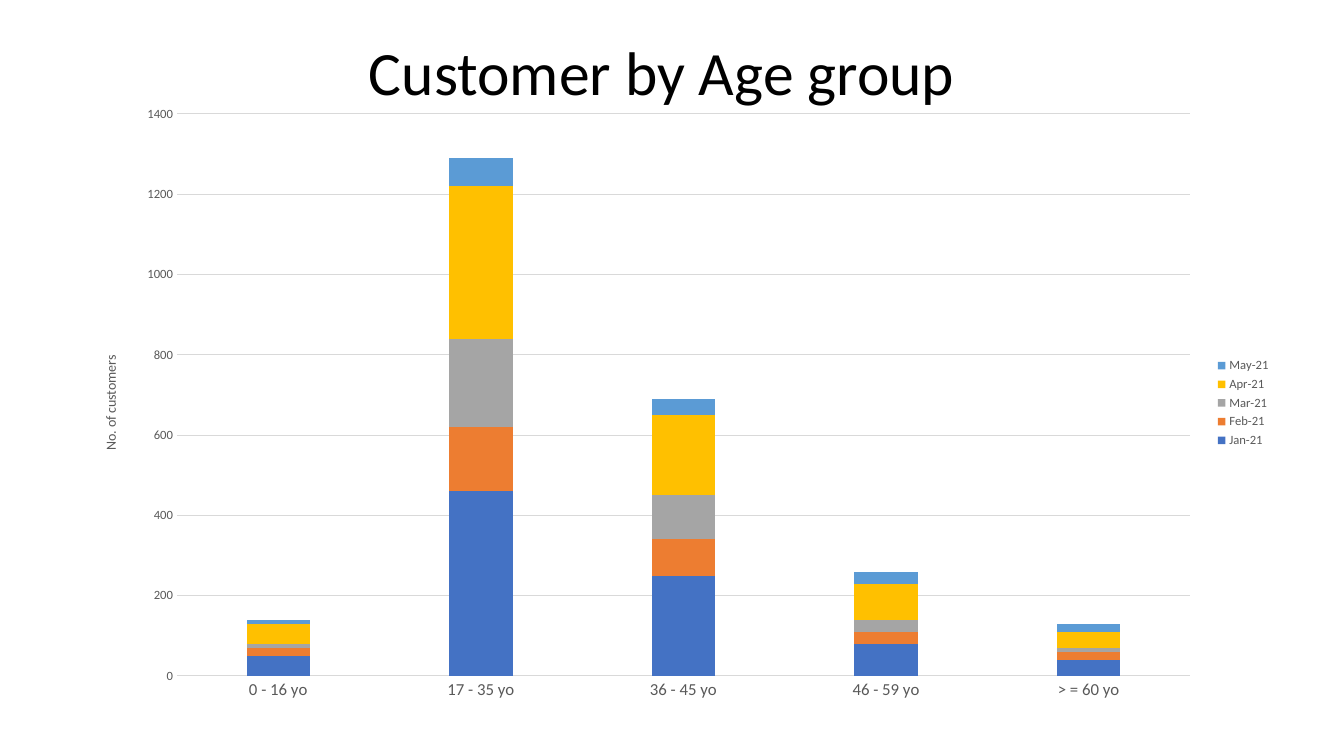
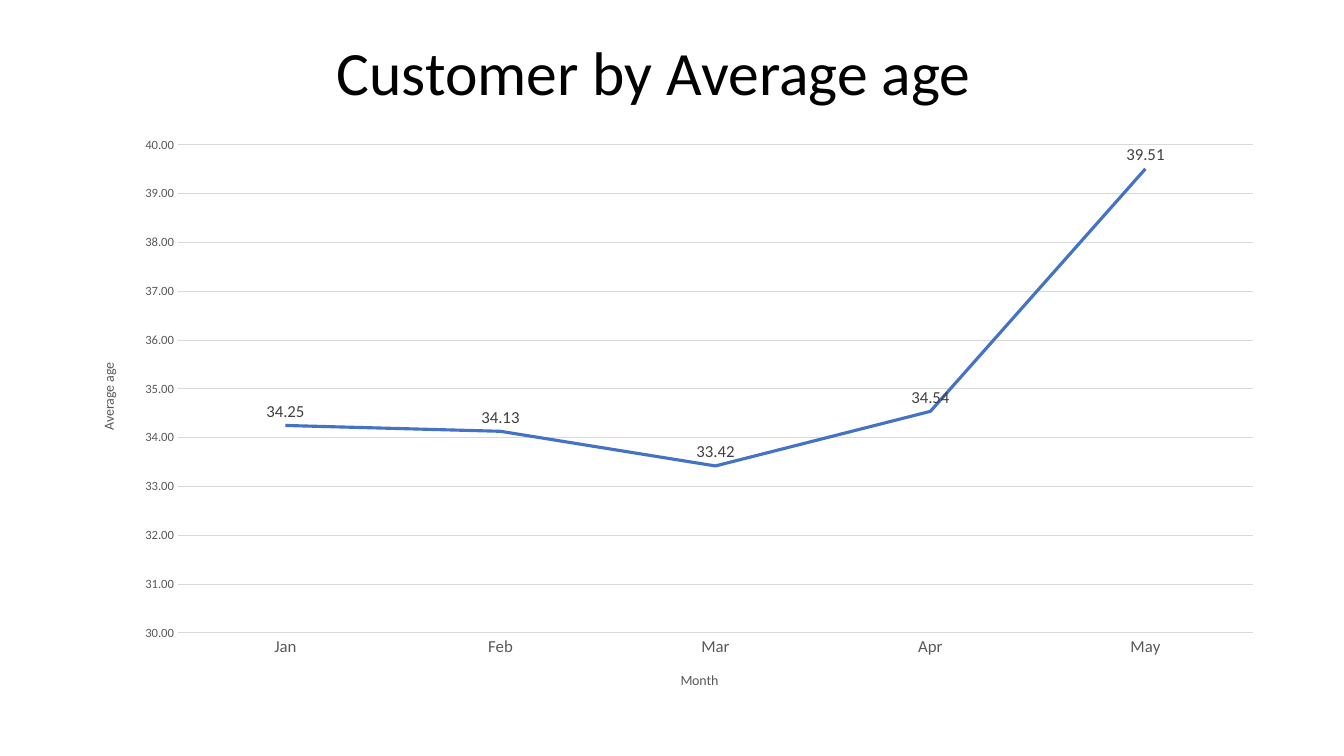
from pptx import Presentation
from pptx.chart.data import CategoryChartData
from pptx.dml.color import RGBColor
from pptx.enum.chart import XL_CHART_TYPE as ChartType
from pptx.enum.chart import XL_LABEL_POSITION as LabelPosition
from pptx.enum.chart import XL_LEGEND_POSITION as LegendPosition
from pptx.enum.chart import XL_TICK_MARK as TickMark
from pptx.enum.text import MSO_ANCHOR as Anchor
from pptx.enum.text import PP_ALIGN as Align
from pptx.oxml.ns import qn
from pptx.util import Emu, Pt
from lxml.etree import SubElement

# Shared style
SCALE = 914400 / 100.8
FONT = "Calibri"
BLACK = RGBColor(0x00, 0x00, 0x00)
DARK_GRAY = RGBColor(0x40, 0x40, 0x40)
TEXT_GRAY = RGBColor(0x59, 0x59, 0x59)
GRID_GRAY = RGBColor(0xD9, 0xD9, 0xD9)
BLUE = RGBColor(0x44, 0x72, 0xC4)
ORANGE = RGBColor(0xED, 0x7D, 0x31)
GRAY = RGBColor(0xA5, 0xA5, 0xA5)
GOLD = RGBColor(0xFF, 0xC0, 0x00)
LIGHT_BLUE = RGBColor(0x5B, 0x9B, 0xD5)
SERIES_COLORS = [BLUE, ORANGE, GRAY, GOLD, LIGHT_BLUE]


def px(length):
    return Emu(round(length * SCALE))


def format_font(font, size, color=TEXT_GRAY):
    font.name = FONT
    font.size = Pt(size)
    font.bold = False
    font.color.rgb = color


def write_text(frame, text, size, color=TEXT_GRAY, align=None, spacing=None):
    frame.text = text
    paragraph = frame.paragraphs[0]
    paragraph.alignment = align
    paragraph.line_spacing = spacing
    format_font(paragraph.runs[0].font, size, color)


def place(element, index, frame, box, inner=False):
    """Fix the position of a chart part; both boxes are in slide pixels."""
    layout = element.find(qn("c:layout"))
    if layout is None:
        layout = element.makeelement(qn("c:layout"), {})
        element.insert(index, layout)
    manual = SubElement(layout, qn("c:manualLayout"))
    settings = [("layoutTarget", "inner")] if inner else []
    settings += [("xMode", "edge"), ("yMode", "edge")]
    left, top, width, height = frame
    settings += [("x", (box[0] - left) / width), ("y", (box[1] - top) / height)]
    if inner:
        settings += [("w", box[2] / width), ("h", box[3] / height)]
    for name, value in settings:
        SubElement(manual, qn("c:" + name)).set("val", str(value))


class Deck:
    def __init__(self):
        self.presentation = Presentation()
        self.presentation.slide_width = px(1344)
        self.presentation.slide_height = px(756)
        self.slide = None

    def add_slide(self, title, width):
        layout = self.presentation.slide_layouts[5]
        self.slide = self.presentation.slides.add_slide(layout)
        shape = self.slide.shapes.title
        shape.left, shape.top, shape.width, shape.height = map(px, (93, 26, width, 100))
        shape.text_frame.vertical_anchor = Anchor.MIDDLE
        write_text(shape.text_frame, title, 44, BLACK, Align.CENTER, 0.9)

    def add_chart(self, kind, frame, plot_box, categories, series, value_range):
        data = CategoryChartData()
        data.categories = categories
        for name, values in series.items():
            data.add_series(name, values)
        chart = self.slide.shapes.add_chart(kind, *map(px, frame), data).chart
        format_font(chart.font, 10, BLACK)
        chart.has_title = False
        chart.has_legend = False
        plot_area = chart.element.find(".//" + qn("c:plotArea"))
        place(plot_area, 0, frame, plot_box, inner=True)
        chart.plots[0].vary_by_categories = False

        # Axes
        for axis, size in ((chart.category_axis, 12), (chart.value_axis, 9)):
            axis.major_tick_mark = axis.minor_tick_mark = TickMark.NONE
            format_font(axis.tick_labels.font, size)
        self.format_line(chart.category_axis.format.line)
        value_axis = chart.value_axis
        value_axis.format.line.fill.background()
        value_axis.has_major_gridlines = True
        self.format_line(value_axis.major_gridlines.format.line)
        (value_axis.minimum_scale, value_axis.maximum_scale,
         value_axis.major_unit) = value_range
        return chart

    def format_line(self, line, color=GRID_GRAY, width=0.75):
        line.color.rgb = color
        line.width = Pt(width)

    def add_axis_title(self, axis, text, frame, corner):
        title = axis.axis_title
        write_text(title.text_frame, text, 10)
        place(title.element, 1, frame, corner)

    def add_legend(self, chart):
        chart.has_legend = True
        chart.legend.position = LegendPosition.RIGHT
        chart.legend.include_in_layout = False
        format_font(chart.legend.font, 9)

    def add_labels(self, series, number_format):
        labels = series.data_labels
        labels.show_value = True
        labels.position = LabelPosition.ABOVE
        labels.number_format = number_format
        labels.number_format_is_linked = False
        format_font(labels.font, 12, DARK_GRAY)


deck = Deck()

# Customers by age group
deck.add_slide("Customer by Age group", 1138)
age_frame = (81, 94, 1200, 618)
age_chart = deck.add_chart(
    ChartType.COLUMN_STACKED, age_frame, (177, 114, 1013, 562),
    ["0 - 16 yo", "17 - 35 yo", "36 - 45 yo", "46 - 59 yo", "> = 60 yo"],
    {
        "Jan-21": (50, 460, 250, 80, 40),
        "Feb-21": (20, 160, 90, 30, 20),
        "Mar-21": (10, 220, 110, 30, 10),
        "Apr-21": (50, 380, 200, 90, 40),
        "May-21": (10, 70, 40, 30, 20),
    },
    (0, 1400, 200))
age_plot = age_chart.plots[0]
age_plot.gap_width = 219
age_plot.overlap = 100
for month_series, color in zip(age_plot.series, SERIES_COLORS):
    month_series.format.fill.solid()
    month_series.format.fill.fore_color.rgb = color
deck.add_axis_title(age_chart.value_axis, "No. of customers", age_frame, (99, 353))
deck.add_legend(age_chart)

# Average age by month
deck.add_slide("Customer by Average age", 1122)
average_frame = (78, 125, 1198, 584)
average_chart = deck.add_chart(
    ChartType.LINE, average_frame, (178, 145, 1075, 488),
    ["Jan", "Feb", "Mar", "Apr", "May"],
    {"Series 1": (34.25, 34.13, 33.42, 34.54, 39.51)},
    (30, 40, 1))
average_labels = average_chart.value_axis.tick_labels
average_labels.number_format = "0.00"
average_labels.number_format_is_linked = False
average_series = average_chart.plots[0].series[0]
average_series.smooth = False
deck.format_line(average_series.format.line, BLUE, 2.25)
deck.add_labels(average_series, "0.00")
deck.add_axis_title(average_chart.value_axis, "Average age", average_frame, (97, 360))
deck.add_axis_title(average_chart.category_axis, "Month", average_frame, (678, 669))

deck.presentation.save("out.pptx")
